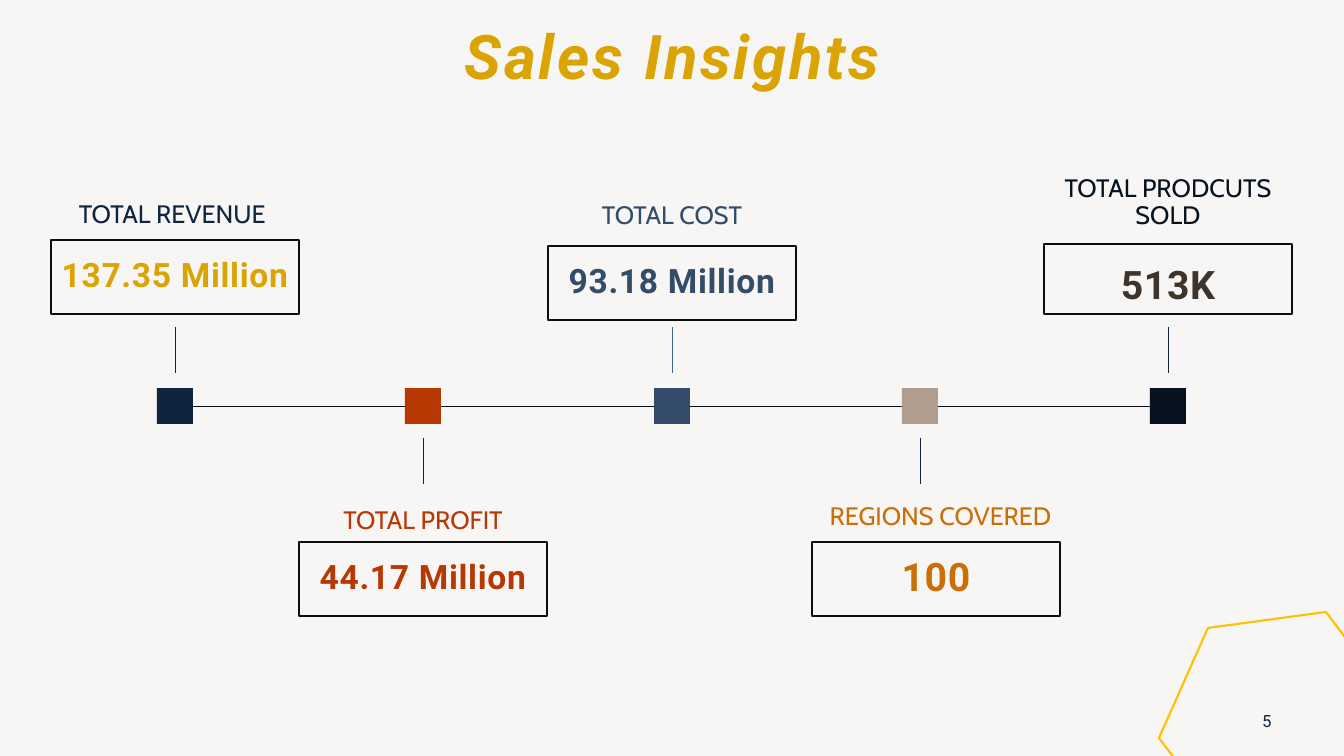
import pptx
import pptx.dml.color
import pptx.enum.shapes
import pptx.enum.text
import pptx.util
from pptx.oxml.ns import qn
import lxml.etree

SCALE = 12192000 / 1344
COLORS = {
    "paper": "F8F6F5", "navy": "0F253E", "rust": "B83803", "slate": "334C6A",
    "sand": "B19D8D", "ink": "07121F", "steel": "44668D", "ochre": "CA6F07",
    "brown": "3F342B", "gold": "D9A404", "frame": "0D0D0D", "amber": "FFC000",
}
LABEL = {"name": "Cabin", "size": pptx.util.Pt(18)}
VALUE = {"name": "Roboto", "size": pptx.util.Pt(24), "bold": True}
BIG_VALUE = {**VALUE, "size": pptx.util.Pt(28)}
TITLE = {**VALUE, "size": pptx.util.Pt(44), "italic": True}
NUMBER = {"name": "Roboto", "size": pptx.util.Pt(12)}
TOP = pptx.enum.text.MSO_ANCHOR.TOP
MIDDLE = pptx.enum.text.MSO_ANCHOR.MIDDLE
BOTTOM = pptx.enum.text.MSO_ANCHOR.BOTTOM

FIRST_X, LAST_X, AXIS_Y = 175, 1168, 406
MARKER = 36
CARD_W = 248
STEM_ABOVE, STEM_BELOW = (327, 373), (438, 484)
MILESTONES = [
    {"label": "TOTAL REVENUE ", "value": "137.35 Million", "format": VALUE,
     "colors": ("navy", "navy", "navy", "gold"), "stem": STEM_ABOVE,
     "left": 51, "label_box": (179, CARD_W), "value_y": 243, "frame": (240, 74)},
    {"label": "TOTAL PROFIT", "value": "44.17 Million", "format": VALUE,
     "colors": ("rust", "navy", "rust", "rust"), "stem": STEM_BELOW,
     "left": 299, "label_box": (485, CARD_W), "value_y": 545, "frame": (542, 74)},
    {"label": "TOTAL COST", "value": "93.18 Million", "format": VALUE,
     "colors": ("slate", "steel", "slate", "slate"), "stem": STEM_ABOVE,
     "left": 548, "label_box": (180, CARD_W), "value_y": 249, "frame": (246, 74)},
    {"label": "REGIONS COVERED", "value": "100", "format": BIG_VALUE,
     "colors": ("sand", "navy", "ochre", "ochre"), "stem": STEM_BELOW,
     "left": 812, "label_box": (481, 257), "value_y": 541, "frame": (542, 74)},
    {"label": "TOTAL PRODCUTS SOLD", "value": "513K", "format": BIG_VALUE,
     "colors": ("ink", "navy", "ink", "brown"), "stem": STEM_ABOVE,
     "left": 1044, "label_box": (180, CARD_W), "value_y": 249, "frame": (244, 70)},
]
HEXAGON = [(1208, 628), (1326, 612), (1397, 706), (1349, 814), (1230, 832), (1159, 738)]


def px(n):
    return pptx.util.Emu(round(n * SCALE))


def rgb(name):
    return pptx.dml.color.RGBColor.from_string(COLORS[name])


def set_line(sp, color, width):
    sp.line.color.rgb = rgb(color)
    sp.line.width = pptx.util.Pt(width)


def add_line(s, x1, y1, x2, y2, color):
    sp = s.shapes.add_connector(
        pptx.enum.shapes.MSO_CONNECTOR.STRAIGHT, px(x1), px(y1), px(x2), px(y2))
    set_line(sp, color, 0.5)
    lxml.etree.SubElement(sp._element.spPr, qn("a:effectLst"))


def add_box(s, x, y, w, h, fill=None, line=None):
    sp = s.shapes.add_shape(
        pptx.enum.shapes.MSO_SHAPE.RECTANGLE, px(x), px(y), px(w), px(h))
    sp.shadow.inherit = False
    if fill:
        sp.fill.solid()
        sp.fill.fore_color.rgb = rgb(fill)
    else:
        sp.fill.background()
    if line:
        set_line(sp, line, 1)
    else:
        sp.line.fill.background()


def add_text(s, text, x, y, w, h, font, color, anchor, line_spacing=1.0, tracking=0):
    tf = s.shapes.add_textbox(px(x), px(y), px(w), px(h)).text_frame
    frame = {"word_wrap": True, "vertical_anchor": anchor, "margin_left": 0, "margin_right": 0}
    for key, value in frame.items():
        setattr(tf, key, value)
    p = tf.paragraphs[0]
    p.alignment = pptx.enum.text.PP_ALIGN.CENTER
    p.line_spacing = line_spacing
    r = p.add_run()
    r.text = text
    for key, value in font.items():
        setattr(r.font, key, value)
    r.font.color.rgb = rgb(color)
    if tracking:
        r._r.get_or_add_rPr().set("spc", str(round(tracking * 100)))


def add_milestone(s, x, item):
    marker, stem, label, value = item["colors"]
    left = item["left"]
    label_y, label_w = item["label_box"]
    frame_y, frame_h = item["frame"]
    add_box(s, x - MARKER // 2, AXIS_Y - MARKER // 2, MARKER, MARKER, fill=marker)
    add_line(s, x, item["stem"][0], x, item["stem"][1], stem)
    add_text(s, item["label"], left, label_y, label_w, 55, LABEL, label, BOTTOM, 0.9)
    add_text(s, item["value"], left, item["value_y"], CARD_W, 70,
             item["format"], value, TOP, 1.14, 0.5)
    add_box(s, left, frame_y, CARD_W, frame_h, line="frame")


def add_outline(s, points, color):
    builder = s.shapes.build_freeform(*points[0], scale=SCALE)
    builder.add_line_segments(points[1:], close=True)
    sp = builder.convert_to_shape()
    sp.shadow.inherit = False
    sp.fill.background()
    set_line(sp, color, 1.5)


def main():
    prs = pptx.Presentation()
    prs.slide_width, prs.slide_height = px(1344), px(756)
    s = prs.slides.add_slide(prs.slide_layouts[6])
    s.background.fill.solid()
    s.background.fill.fore_color.rgb = rgb("paper")

    add_text(s, "Sales Insights", 93, 29, 1159, 62, TITLE, "gold", MIDDLE, 0.9, 2)
    add_line(s, LAST_X, AXIS_Y, FIRST_X, AXIS_Y, "ink")
    step = (LAST_X - FIRST_X) / (len(MILESTONES) - 1)
    for i, item in enumerate(MILESTONES):
        add_milestone(s, round(FIRST_X + i * step), item)
    add_outline(s, HEXAGON, "amber")
    add_text(s, "5", 1201, 701, 132, 40, NUMBER, "navy", MIDDLE)
    prs.save("out.pptx")


if __name__ == "__main__":
    main()
